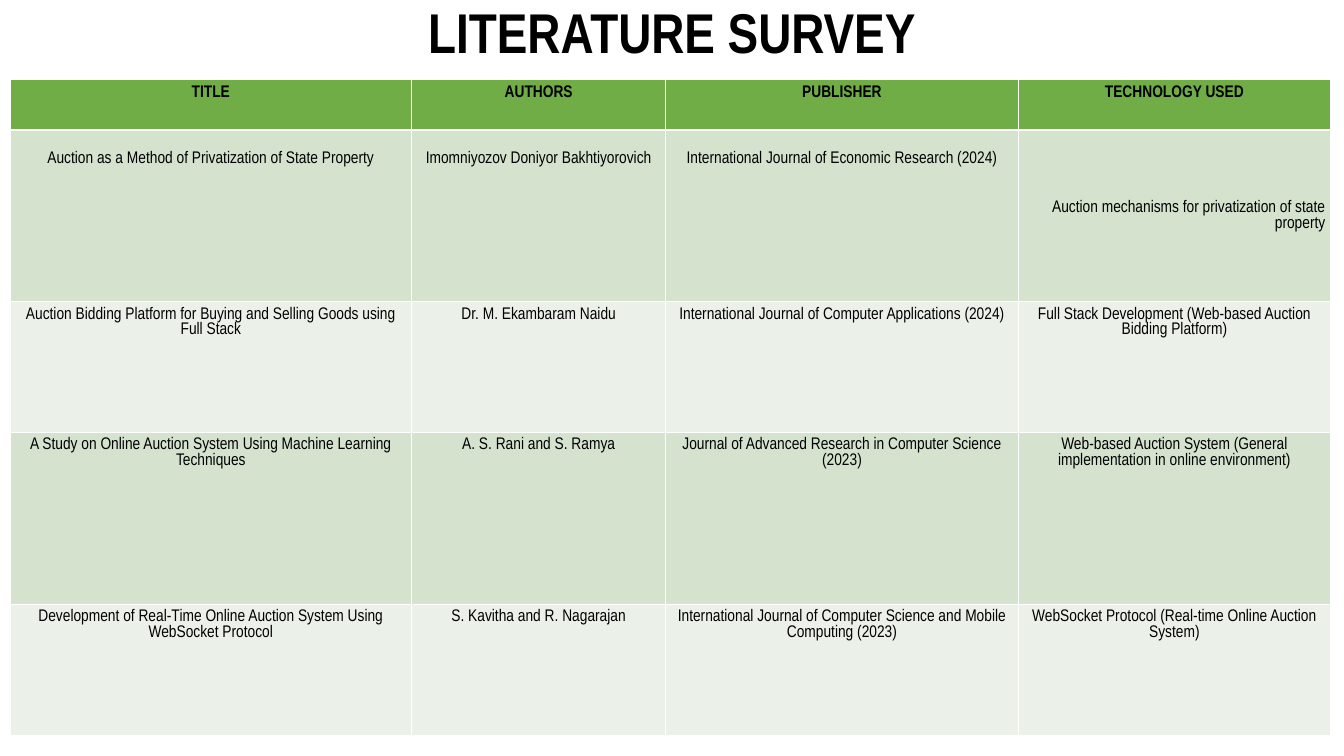
from lxml.etree import SubElement
from pptx import Presentation
from pptx.dml.color import RGBColor
from pptx.enum.text import MSO_ANCHOR, PP_ALIGN
from pptx.oxml.ns import qn
from pptx.util import Cm, Pt

FONT = "Arial Narrow"
BLACK, WHITE = "000000", "FFFFFF"
HEADER_GREEN, BAND_DARK, BAND_LIGHT = "70AD47", "D4E2CE", "EBF1E8"
INSET = Cm(0.13)
THIN, THICK = Pt(0.45), Pt(1.47)

COLUMN_WIDTHS = [10.13, 6.4, 8.89, 7.87]
ROW_HEIGHTS = [1.27, 4.32, 3.3, 4.32, 3.3]
SURVEY = [
    ["TITLE", "AUTHORS", "PUBLISHER", "TECHNOLOGY USED"],
    ["Auction as a Method of Privatization of State Property",
     "Imomniyozov Doniyor Bakhtiyorovich",
     "International Journal of Economic Research (2024)",
     "Auction mechanisms for privatization of state property"],
    ["Auction Bidding Platform for Buying and Selling Goods using Full Stack",
     "Dr. M. Ekambaram Naidu",
     "International Journal of Computer Applications (2024)",
     "Full Stack Development (Web-based Auction Bidding Platform)"],
    ["A Study on Online Auction System Using Machine Learning Techniques",
     "A. S. Rani and S. Ramya",
     "Journal of Advanced Research in Computer Science (2023)",
     "Web-based Auction System (General implementation in online environment)"],
    ["Development of Real-Time Online Auction System Using WebSocket Protocol",
     "S. Kavitha and R. Nagarajan",
     "International Journal of Computer Science and Mobile Computing (2023)",
     "WebSocket Protocol (Real-time Online Auction System)"],
]


def color(code):
    return RGBColor.from_string(code)


def set_insets(holder):
    holder.margin_left = holder.margin_right = INSET
    holder.margin_top = holder.margin_bottom = INSET


def write(frame, text, size, bold, align=PP_ALIGN.CENTER):
    frame.word_wrap = True
    para = frame.paragraphs[0]
    para.text = text
    para.alignment = align
    para.font.name = FONT
    para.font.size = Pt(size)
    para.font.bold = bold
    para.font.color.rgb = color(BLACK)
    return para


def add_title(page, text):
    box = page.shapes.add_textbox(Cm(0.33), Cm(0), Cm(33.22), Cm(1.78))
    set_insets(box.text_frame)
    write(box.text_frame, text, 40, True).line_spacing = 0.9


def set_borders(cell, top, bottom):
    properties = cell._tc.get_or_add_tcPr()
    widths = {"a:lnL": THIN, "a:lnR": THIN, "a:lnT": top, "a:lnB": bottom}
    for tag, width in widths.items():
        line = SubElement(properties, qn(tag), w=str(width))
        fill = SubElement(line, qn("a:solidFill"))
        SubElement(fill, qn("a:srgbClr"), val=WHITE)


def fill_cell(cell, text, row):
    header = row == 0
    set_insets(cell)
    write(cell.text_frame, text, 12, header)
    set_borders(cell, THICK if row == 1 else THIN, THICK if header else THIN)
    cell.fill.solid()
    band = BAND_DARK if row % 2 else BAND_LIGHT
    cell.fill.fore_color.rgb = color(HEADER_GREEN if header else band)


def add_survey_table(page):
    frame = page.shapes.add_table(
        len(SURVEY), len(COLUMN_WIDTHS), Cm(0.25), Cm(2.01),
        Cm(sum(COLUMN_WIDTHS)), Cm(sum(ROW_HEIGHTS)))
    table = frame.table
    for column, width in zip(table.columns, COLUMN_WIDTHS):
        column.width = Cm(width)
    for row, height in zip(table.rows, ROW_HEIGHTS):
        row.height = Cm(height)
    for row, texts in enumerate(SURVEY):
        for column, text in enumerate(texts):
            fill_cell(table.cell(row, column), text, row)

    # The first entry sits one line lower, its technology at middle right
    *lowered, technology = table.rows[1].cells
    for cell in lowered:
        cell.margin_top = Cm(0.53)
    technology.vertical_anchor = MSO_ANCHOR.MIDDLE
    technology.text_frame.paragraphs[0].alignment = PP_ALIGN.RIGHT


def main():
    deck = Presentation()
    deck.slide_width, deck.slide_height = Cm(33.88), Cm(19.05)
    page = deck.slides.add_slide(deck.slide_layouts[6])
    add_title(page, "LITERATURE SURVEY")
    add_survey_table(page)
    deck.save("out.pptx")


if __name__ == "__main__":
    main()
